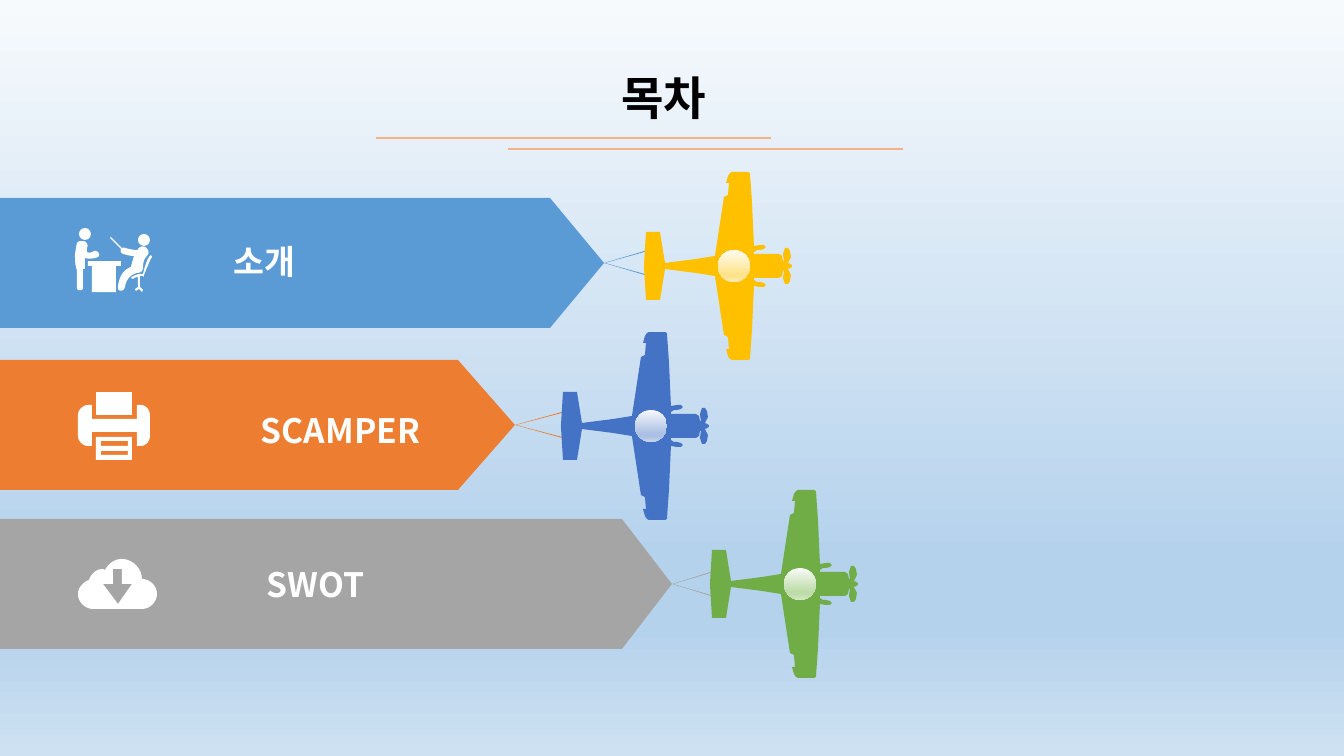
from lxml import etree
from pptx import Presentation
from pptx import util as u
from pptx.dml.color import RGBColor
from pptx.enum import shapes, text
from pptx.oxml.ns import qn

FONT = "Noto Sans CJK KR"
C = {
    "black": "000000", "white": "FFFFFF", "rule": "F4B183",
    "blue": "5B9BD5", "orange": "ED7D31", "gray": "A5A5A5",
    "yellow": "FFC000", "navy": "4472C4", "green": "70AD47",
}
# Four stops of each vertical gradient
STOPS = (0, 74, 83, 100)
GRADIENTS = {
    "sky": ("F7FAFD", "B5D2EC", "B5D2EC", "CEE1F2"),
    "yellow": ("FFFCF2", "FFE38C", "FFE38C", "FFECB2"),
    "navy": ("F6F8FC", "ABC0E4", "ABC0E4", "C7D5ED"),
    "green": ("F8FBF6", "BEDCAA", "BEDCAA", "D4E8C6"),
}

# Upper half of a plane, nose to tail: x from the tail, height above the axis
HALF_PLANE = [
    (148, 1), (146, 2), (145, 3), (144, 2), (144, 3), (147, 9), (146, 15),
    (144, 18), (141, 18), (139, 12), (140, 5), (139, 5), (138, 10), (135, 12),
    (110, 12), (110, 14), (113, 16), (116, 16), (120, 17), (122, 19),
    (120, 21), (116, 21), (110, 20), (108, 64), (106, 93), (104, 94),
    (88, 94), (86, 93), (84, 90), (82, 83), (85, 83), (84, 71), (80, 69),
    (71, 10), (52, 7), (21, 3), (16, 34), (2, 34), (0, 1),
]

# Icon outlines: pairs are corners, sixes are Bezier curves
DESK = [(88, 261), (121, 261), (121, 266), (116, 266), (116, 292), (92, 292),
        (92, 266), (88, 266)]
CHAIR = [(151, 255), (150, 256), (147, 258, 144, 270, 143, 274), (141, 274),
         (136, 274, 132, 277, 132, 277), (131, 278), (133, 279),
         (133, 279, 135, 277, 138, 277), (138, 287), (135, 289), (136, 291),
         (139, 289), (142, 292), (143, 290), (140, 287), (140, 276),
         (143, 276), (144, 277), (144, 275), (146, 270, 150, 260, 152, 257)]
STANDING = [(94, 251), (91, 253, 89, 253, 87, 252), (87, 248),
            (89, 245, 86, 241, 83, 241), (81, 241, 79, 241, 78, 242),
            (77, 243), (76, 247, 75, 255, 75, 255),
            (75, 267, 77, 270, 77, 270), (77, 288),
            (77, 291, 83, 291, 83, 288), (83, 269), (85, 269), (85, 258),
            (89, 259, 93, 259, 98, 257), (101, 255, 98, 250, 94, 251)]
SEATED = [(143, 267), (143, 263, 144, 259, 147, 256),
          (152, 251, 144, 243, 139, 248), (138, 249, 138, 250, 137, 250),
          (133, 250, 129, 249, 125, 248), (124, 247, 123, 248, 122, 248),
          (111, 237), (110, 238), (121, 249), (120, 251, 121, 253, 123, 254),
          (127, 255, 130, 256, 134, 256), (133, 259, 132, 263, 131, 267),
          (123, 270, 119, 277, 118, 287), (117, 292, 124, 292, 125, 287),
          (126, 280, 130, 275, 137, 273), (141, 273, 143, 271, 143, 267)]
PRINTER = [(141, 405), (137, 405), (137, 419), (92, 419), (92, 405),
           (88, 405), (83, 405, 78, 410, 78, 415), (78, 436),
           (78, 441, 83, 446, 88, 446), (92, 446), (92, 432), (137, 432),
           (137, 446), (141, 446), (146, 446, 150, 441, 150, 436),
           (150, 415), (150, 410, 146, 405, 141, 405)]
CLOUD = [(142, 579), (142, 569, 133, 559, 122, 559),
         (115, 559, 109, 563, 105, 570), (103, 569),
         (96, 569, 91, 574, 89, 580), (83, 582, 78, 588, 78, 594),
         (78, 602, 85, 609, 93, 609), (142, 609),
         (150, 609, 157, 602, 157, 594), (157, 586, 150, 579, 142, 579)]
DOWN_ARROW = [(118, 604), (103, 584), (113, 584), (113, 569), (122, 569),
              (122, 584), (132, 584)]


def px(n):
    return u.Emu(round(n * 914400 / 100.8))


def rgb(name):
    return RGBColor.from_string(C[name])


def box(left, top, right, bottom):
    return [(left, top), (right, top), (right, bottom), (left, bottom)]


def flatten(outline, steps=8):
    """Turn corners and Bezier curves into points in EMU."""
    pts = []
    for node in outline:
        if len(node) == 2:
            pts.append(node)
            continue
        a, b, c, d = pts[-1], node[:2], node[2:4], node[4:]
        for i in range(1, steps + 1):
            t = i / steps
            v = 1 - t
            pts.append(tuple(
                v**3 * a[k] + 3 * v * v * t * b[k] + 3 * v * t * t * c[k] + t**3 * d[k]
                for k in (0, 1)))
    return [(px(x), px(y)) for x, y in pts]


def paint(sp, color):
    sp.shadow.inherit = False
    sp.fill.solid()
    sp.fill.fore_color.rgb = rgb(color)
    sp.line.fill.background()


def add_outline(parent, color, *contours):
    first, *holes = [flatten(c) for c in contours]
    fb = parent.build_freeform(*first[0])
    fb.add_line_segments(first[1:])
    for hole in holes:
        fb.move_to(*hole[0])
        fb.add_line_segments(hole[1:])
    paint(fb.convert_to_shape(), color)


def add_circle(parent, x, y, size, color):
    sp = parent.add_shape(shapes.MSO_SHAPE.OVAL, px(x), px(y), px(size), px(size))
    paint(sp, color)
    return sp


def set_gradient(fill, el, name):
    fill.gradient()
    fill.gradient_angle = 270
    stops = el.find(".//" + qn("a:gsLst"))
    for old in list(stops):
        stops.remove(old)
    for pos, color in zip(STOPS, GRADIENTS[name]):
        gs = etree.SubElement(stops, qn("a:gs"), pos=str(pos * 1000))
        etree.SubElement(gs, qn("a:srgbClr"), val=color)


def add_text(parent, x, y, w, h, words, size=24, color="white",
             align=text.PP_ALIGN.LEFT, anchor=text.MSO_ANCHOR.BOTTOM, margins=(42, 0, 0, 0)):
    tf = parent.add_textbox(px(x), px(y), px(w), px(h)).text_frame
    tf.word_wrap = False
    tf.vertical_anchor = anchor
    tf.margin_left, tf.margin_top, tf.margin_right, tf.margin_bottom = map(px, margins)
    p = tf.paragraphs[0]
    p.alignment = align
    r = p.add_run()
    r.text = words
    r.font.name, r.font.size, r.font.bold = FONT, u.Pt(size), True
    r.font.color.rgb = rgb(color)
    etree.SubElement(r.font._element, qn("a:ea"), typeface=FONT)


def add_rule(s, x, y, w):
    ln = s.shapes.add_connector(shapes.MSO_CONNECTOR.STRAIGHT, px(x), px(y), px(x + w), px(y))
    ln.line.color.rgb = rgb("rule")
    ln.line.width = u.Pt(1.5)
    etree.SubElement(ln._element.spPr, qn("a:effectLst"))


def add_banner(parent, top, body, tip, rope, color):
    mid, bottom = top + 65, top + 130
    add_outline(parent, color, [
        (0, top), (body, top), (tip, mid), (rope, mid - 13), (rope, mid - 12),
        (tip + 1, mid), (rope, mid + 12), (rope, mid + 13), (tip, mid),
        (body, bottom), (0, bottom)])


def add_plane(parent, left, axis, color):
    upper = [(left + x, axis - dy) for x, dy in HALF_PLANE]
    lower = [(left + x, axis + dy) for x, dy in reversed(HALF_PLANE)]
    add_outline(parent, color, upper + lower)
    sp = add_circle(parent, left + 74, axis - 16, 32, color)
    set_gradient(sp.fill, sp._element, color)


def meeting_icon(parent):
    for part in (DESK, CHAIR, STANDING, SEATED):
        add_outline(parent, "white", part)
    for x, y in ((79, 228), (138, 234)):
        add_circle(parent, x, y, 12, "white")


def printer_icon(parent):
    add_outline(parent, "white", box(96, 437, 132, 460),
                box(101, 441, 128, 446), box(101, 451, 128, 455))
    add_outline(parent, "white", box(96, 392, 132, 415))
    add_outline(parent, "white", PRINTER)


def cloud_icon(parent):
    add_outline(parent, "white", CLOUD, DOWN_ARROW)


def main():
    prs = Presentation()
    prs.slide_width, prs.slide_height = px(1344), px(756)
    s = prs.slides.add_slide(prs.slide_layouts[6])
    set_gradient(s.background.fill, s._element, "sky")

    # Title and its two rules
    add_text(s.shapes, 464, 64, 400, 66, "목차", size=33, color="black",
             align=text.PP_ALIGN.CENTER, anchor=text.MSO_ANCHOR.TOP, margins=(10, 5, 10, 5))
    add_rule(s, 376, 138, 395)
    add_rule(s, 508, 149, 395)

    # Banners: shape, plane, icon, label
    rows = [
        ((198, 550, 604, 648, "blue"), (644, 266, "yellow"), meeting_icon, (192, 233, 392, 48, "소개")),
        ((360, 458, 515, 562, "orange"), (561, 426, "navy"), printer_icon, (219, 402, 220, 48, "SCAMPER")),
        ((519, 622, 672, 714, "gray"), (710, 584, "green"), cloud_icon, (225, 556, 470, 48, "SWOT")),
    ]
    for banner, plane, icon, label in rows:
        parent = s.shapes.add_group_shape().shapes
        add_banner(parent, *banner)
        add_plane(parent, *plane)
        icon(parent)
        add_text(parent, *label)

    prs.save("out.pptx")


if __name__ == "__main__":
    main()
